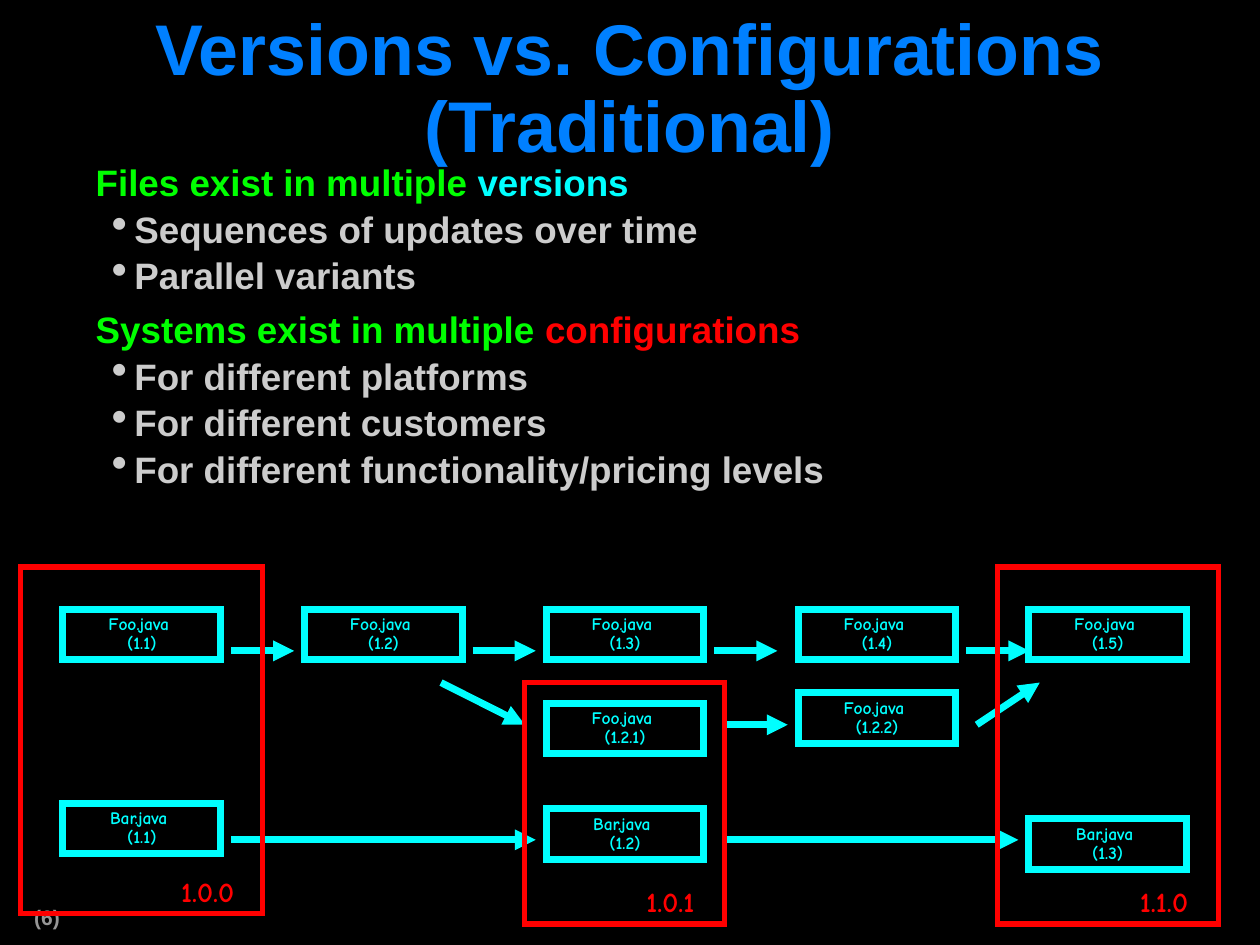
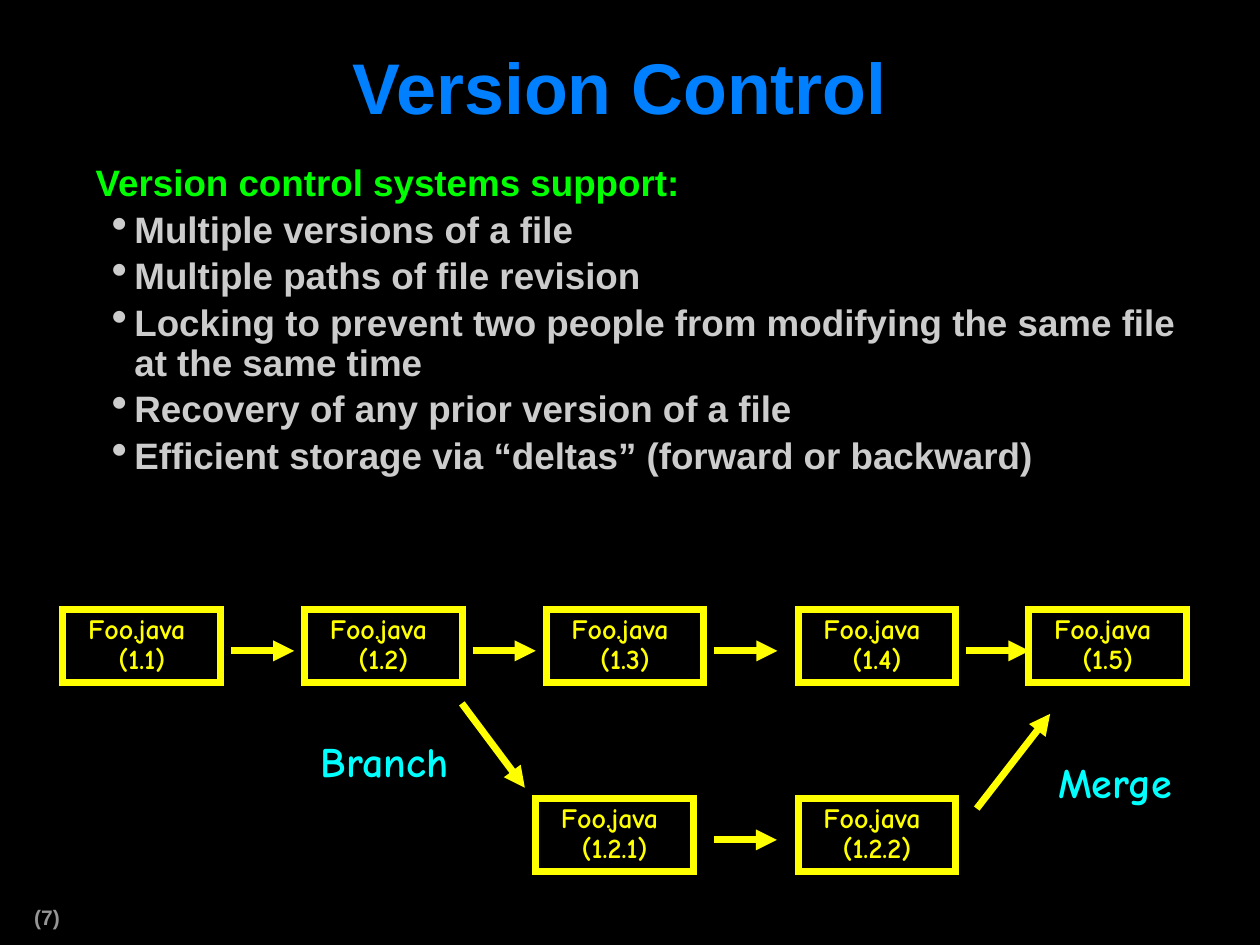
from dataclasses import dataclass

import pptx
import pptx.dml.color
import pptx.enum.shapes
import pptx.enum.text
import pptx.oxml.ns
import pptx.util
from lxml import etree
from pptx.util import Cm

ALIGN = pptx.enum.text.PP_ALIGN
ANCHOR = pptx.enum.text.MSO_ANCHOR
qn = pptx.oxml.ns.qn


@dataclass(frozen=True)
class Theme:
    black: str = "000000"
    blue: str = "0080FF"
    green: str = "00FF00"
    cyan: str = "00FFFF"
    red: str = "FF0000"
    yellow: str = "FFFF00"
    light: str = "CCCCCC"
    grey: str = "969696"
    sans: str = "Arial"
    comic: str = "Comic Neue"
    title_size: int = 41
    body_size: int = 21
    footer_size: int = 12
    callout_size: int = 24
    release_size: int = 16
    small_size: int = 10
    large_size: int = 16
    line_width: int = 4
    frame_width: int = 3


THEME = Theme()

COLUMNS = (1.27, 6.14, 11.01, 16.09, 20.74)
TRUNK_TOP = 12.28
TRUNK_ARROW_Y = 13.12
BAR_ARROW_Y = 16.93
BOX_WIDTH = 3.18
ARROW_OFFSET = 3.39
ARROW_LENGTH = 1.27


def rgb(colour):
    return pptx.dml.color.RGBColor.from_string(colour)


class SlideBuilder:
    def __init__(self, deck, theme):
        self.deck = deck
        self.theme = theme
        self.slide = None
        background = deck.slide_master.background.fill
        background.solid()
        background.fore_color.rgb = rgb(theme.black)

    def new_slide(self, title, number):
        self.slide = self.deck.slides.add_slide(self.deck.slide_layouts[6])
        theme = self.theme
        self.text(title, (0, 0.64, 25.4, 2.39), theme.title_size, theme.blue,
                  font=theme.sans, margins=(0.33, 0.15), wrap=True,
                  anchor=ANCHOR.MIDDLE)
        self.text(f" ({number})", (0, 18.16, 1.78, 0.71), theme.footer_size,
                  theme.grey, font=theme.sans)

    def format_span(self, span, size, colour, font):
        span.font.size = pptx.util.Pt(size)
        span.font.bold = True
        span.font.name = font
        span.font.color.rgb = rgb(colour)

    def prepare_frame(self, frame, margins, wrap, anchor=ANCHOR.TOP):
        frame.margin_left = frame.margin_right = Cm(margins[0])
        frame.margin_top = frame.margin_bottom = Cm(margins[1])
        frame.word_wrap = wrap
        frame.vertical_anchor = anchor

    def fill_text(self, frame, text, size, colour, font, align):
        """Fill a frame with one paragraph; a vertical tab breaks the line."""
        para = frame.paragraphs[0]
        para.text = text
        para.alignment = align
        para.line_spacing = 0.9
        for span in para.runs:
            self.format_span(span, size, colour, font)
        for line_break in para._p.findall(qn("a:br")):
            etree.SubElement(line_break, qn("a:rPr"), sz=str(size * 100))

    def text(self, text, place, size, colour, font=THEME.comic,
             align=ALIGN.CENTER, margins=(0.25, 0.13), wrap=False,
             anchor=ANCHOR.TOP):
        box = self.slide.shapes.add_textbox(*map(Cm, place))
        self.prepare_frame(box.text_frame, margins, wrap, anchor)
        self.fill_text(box.text_frame, text, size, colour, font, align)

    def body(self, height, entries):
        """A string is a bullet; a tuple of (text, colour) spans is a heading."""
        theme = self.theme
        box = self.slide.shapes.add_textbox(Cm(1.27), Cm(3.18), Cm(22.86), Cm(height))
        frame = box.text_frame
        self.prepare_frame(frame, (0.3, 0.15), True)
        for index, entry in enumerate(entries):
            para = frame.add_paragraph() if index else frame.paragraphs[0]
            para.line_spacing = 0.9
            is_bullet = isinstance(entry, str)
            if is_bullet:
                self.add_bullet(para)
                entry = ((entry, theme.light),)
            else:
                para._p.get_or_add_pPr().set("marL", str(Cm(0.36)))
            para.space_before = pptx.util.Pt(0 if not index else 3.9 if is_bullet else 7.9)
            for words, colour in entry:
                span = para.add_run()
                span.text = words
                self.format_span(span, theme.body_size, colour, theme.sans)

    def add_bullet(self, para):
        para.level = 1
        properties = para._p.get_or_add_pPr()
        properties.set("marL", str(Cm(1.14)))
        properties.set("indent", str(Cm(-0.46)))
        colour = etree.SubElement(properties, qn("a:buClr"))
        etree.SubElement(colour, qn("a:srgbClr"), val=self.theme.light)
        etree.SubElement(properties, qn("a:buSzPct"), val="125000")
        etree.SubElement(properties, qn("a:buChar"), char="•")

    def frame(self, place, colour, width):
        """An unfilled rectangle with square corners."""
        box = self.slide.shapes.add_shape(
            pptx.enum.shapes.MSO_SHAPE.RECTANGLE, *map(Cm, place))
        box.shadow.inherit = False
        box.fill.background()
        box.line.color.rgb = rgb(colour)
        box.line.width = pptx.util.Pt(width)
        etree.SubElement(box.line._get_or_add_ln(), qn("a:miter"), lim="800000")
        return box

    def file_box(self, name, version, left, top, height, size, colour):
        box = self.frame((left, top, BOX_WIDTH, height), colour, self.theme.line_width)
        self.prepare_frame(box.text_frame, (0.25, 0.13), True)
        self.fill_text(box.text_frame, f"{name} \v({version})", size, colour,
                       self.theme.comic, ALIGN.CENTER)

    def arrow(self, ends, colour):
        line = self.slide.shapes.add_connector(
            pptx.enum.shapes.MSO_CONNECTOR.STRAIGHT, *map(Cm, ends))
        line.line.color.rgb = rgb(colour)
        line.line.width = pptx.util.Pt(self.theme.line_width)
        etree.SubElement(line.line._get_or_add_ln(), qn("a:tailEnd"), type="triangle")
        etree.SubElement(line._element.spPr, qn("a:effectLst"))

    def history(self, files, side_arrows, height, size, colour):
        """The trunk 1.1 to 1.5 with its arrows, then the other files and arrows."""
        for number, left in enumerate(COLUMNS, 1):
            self.file_box("Foo.java", f"1.{number}", left, TRUNK_TOP, height, size, colour)
        for name, version, left, top in files:
            self.file_box(name, version, left, top, height, size, colour)
        for left in COLUMNS[:-1]:
            start = left + ARROW_OFFSET
            self.arrow((start, TRUNK_ARROW_Y, start + ARROW_LENGTH, TRUNK_ARROW_Y), colour)
        for ends in side_arrows:
            self.arrow(ends, colour)


def add_configurations_slide(builder):
    theme = builder.theme
    builder.new_slide("Versions vs. Configurations (Traditional)", 6)
    builder.body(7.04, (
        (("Files exist in multiple ", theme.green), ("versions", theme.cyan)),
        "Sequences of updates over time",
        "Parallel variants",
        (("Systems exist in multiple ", theme.green), ("configurations", theme.red)),
        "For different platforms",
        "For different customers",
        "For different functionality/pricing levels",
    ))
    files = (
        ("Foo.java", "1.2.1", COLUMNS[2], 14.18),
        ("Foo.java", "1.2.2", COLUMNS[3], 13.97),
        ("Bar.java", "1.1", COLUMNS[0], 16.19),
        ("Bar.java", "1.2", COLUMNS[2], 16.3),
        ("Bar.java", "1.3", COLUMNS[4], 16.51),
    )
    side_arrows = (
        (14.61, 14.61, 15.88, 14.61),
        (19.69, 14.61, 20.96, 13.76),
        (8.89, 13.76, 10.58, 14.61),
        (4.66, BAR_ARROW_Y, 10.8, BAR_ARROW_Y),
        (14.61, BAR_ARROW_Y, 20.53, BAR_ARROW_Y),
    )
    builder.history(files, side_arrows, 1.02, theme.small_size, theme.cyan)
    releases = (
        ("1.0.0", (0.42, 11.43, 4.87, 6.99), (3.4, 17.57, 1.57, 0.86)),
        ("1.0.1", (10.58, 13.76, 4.02, 4.87), (12.78, 17.78, 1.47, 0.86)),
        ("1.1.0", (20.11, 11.43, 4.45, 7.2), (22.73, 17.78, 1.47, 0.86)),
    )
    for release, outline, label in releases:
        builder.frame(outline, theme.red, theme.frame_width)
        builder.text(release, label, theme.release_size, theme.red)


def add_version_control_slide(builder):
    theme = builder.theme
    builder.new_slide("Version Control ", 7)
    builder.body(7.67, (
        (("Version control systems support:", theme.green),),
        "Multiple versions of a file",
        "Multiple paths of file revision",
        "Locking to prevent two people from modifying the same file at the same time",
        "Recovery of any prior version of a file",
        "Efficient storage via “deltas” (forward or backward)",
    ))
    files = (
        ("Foo.java", "1.2.1", 10.8, 16.09),
        ("Foo.java", "1.2.2", COLUMNS[3], 16.09),
    )
    side_arrows = (
        (9.31, 14.18, 10.58, 15.88),
        (14.39, BAR_ARROW_Y, 15.66, BAR_ARROW_Y),
        (19.69, 16.3, 21.17, 14.39),
    )
    builder.history(files, side_arrows, 1.48, theme.large_size, theme.yellow)
    for callout, place in (("Branch", (6.22, 14.82, 3.1, 1.17)),
                           ("Merge", (21.08, 15.24, 2.82, 1.17))):
        builder.text(callout, place, theme.callout_size, theme.cyan, align=ALIGN.LEFT)


def main():
    deck = pptx.Presentation()
    deck.slide_width, deck.slide_height = Cm(25.4), Cm(19.05)
    builder = SlideBuilder(deck, THEME)
    add_configurations_slide(builder)
    add_version_control_slide(builder)
    deck.save("out.pptx")


if __name__ == "__main__":
    main()
